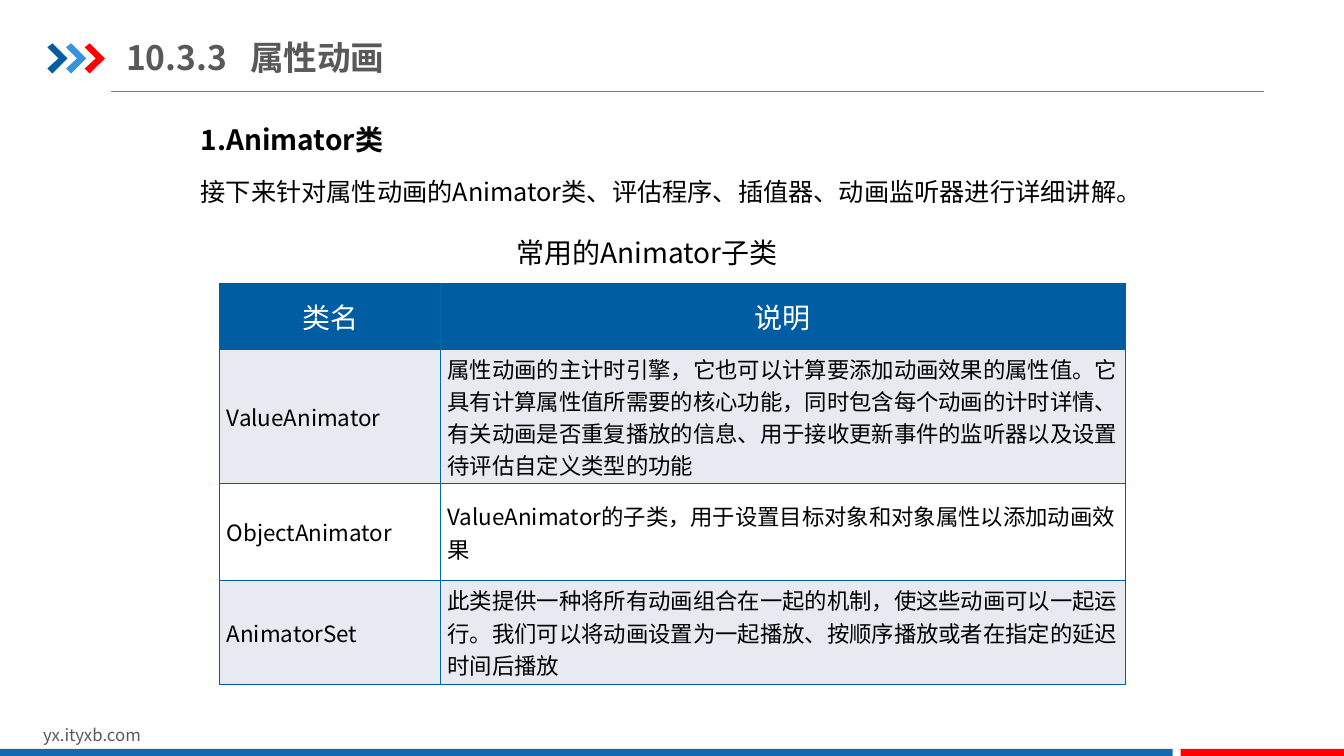
from dataclasses import dataclass
from lxml.etree import SubElement
from pptx import Presentation
from pptx.dml.color import RGBColor
from pptx.enum.shapes import MSO_CONNECTOR as Link, MSO_SHAPE as Kind
from pptx.enum.text import MSO_ANCHOR as Anchor, MSO_AUTO_SIZE as Auto, PP_ALIGN as Align
from pptx.oxml.ns import qn
from pptx.util import Inches, Pt

TITLE = "10.3.3\t属性动画"
INTRO = [
    ("1.Animator类", 20, True),
    ("接下来针对属性动画的Animator类、评估程序、插值器、动画监听器进行详细讲解。", 18, False),
]
CAPTION = [("常用的Animator子类", 20, False)]
SITE = "yx.ityxb.com"
ROWS = [
    ("类名", "说明"),
    ("ValueAnimator", "属性动画的主计时引擎，它也可以计算要添加动画效果的属性值。它具有计算属性值所需要的核心功能，"
     "同时包含每个动画的计时详情、有关动画是否重复播放的信息、用于接收更新事件的监听器以及设置待评估自定义类型的功能"),
    ("ObjectAnimator", "ValueAnimator的子类，用于设置目标对象和对象属性以添加动画效果"),
    ("AnimatorSet", "此类提供一种将所有动画组合在一起的机制，使这些动画可以一起运行。"
     "我们可以将动画设置为一起播放、按顺序播放或者在指定的延迟时间后播放"),
]
COLS = (2.19, 6.79)
HIGHS = (0.66, 1.33, 0.96, 1.03)
WIDE, HIGH = 13.33, 7.5
CHEVRON = [(0, 4), (5, 0), (20, 15), (5, 30), (0, 25), (11, 15)]


@dataclass(frozen=True)
class Theme:
    font: str = "Noto Sans CJK SC"
    navy: str = "005DA2"
    edge: str = "006BA9"
    sky: str = "3992DB"
    red: str = "FF0000"
    bar: str = "1369B2"
    gray: str = "595959"
    rule: str = "808080"
    black: str = "000000"
    white: str = "FFFFFF"
    band: str = "E7EAF0"
    title: int = 24
    head: int = 20
    cell: int = 16
    foot: int = 12


T = Theme()


def rgb(code):
    return RGBColor.from_string(code)


def box(*sides):
    return [Inches(side) for side in sides]


def write(par, text, size, color, bold=False):
    run = par.add_run()
    run.text = text
    look = {"name": T.font, "size": Pt(size), "bold": bold}
    for key, value in look.items():
        setattr(run.font, key, value)
    run.font.color.rgb = rgb(color)
    SubElement(run.font._element, qn("a:ea"), typeface=T.font)


def place(shape, *sides):
    for key, value in zip(("left", "top", "width", "height"), box(*sides)):
        setattr(shape, key, value)


def inset(part, across, down):
    for side in ("left", "right"):
        setattr(part, "margin_" + side, Inches(across))
    for side in ("top", "bottom"):
        setattr(part, "margin_" + side, Inches(down))


def fill_lines(frame, lines):
    """Write indented lines without bullets, spaced at one and a half."""
    frame.word_wrap = True
    frame.auto_size = Auto.NONE
    frame.vertical_anchor = Anchor.TOP
    for i, (text, size, bold) in enumerate(lines):
        par = frame.add_paragraph() if i else frame.paragraphs[0]
        par.line_spacing = 1.5
        par.space_before = Pt(size * 0.2 if i else 0)
        props = par._p.get_or_add_pPr()
        props.set("marL", str(Inches(0.5)))
        props.set("indent", "0")
        SubElement(props, qn("a:buNone"))
        write(par, text, size, T.black, bold)


def paint(shape, color):
    shape.shadow.inherit = False
    shape.fill.solid()
    shape.fill.fore_color.rgb = rgb(color)
    shape.line.fill.background()


def border(cell, col):
    """Draw the four cell edges; the inner upright has its own blue."""
    props = cell._tc.get_or_add_tcPr()
    inner = "lnL" if col else "lnR"
    for i, side in enumerate(("lnL", "lnR", "lnT", "lnB")):
        line = props.makeelement(qn("a:" + side), {"w": str(Pt(1))})
        fill = SubElement(line, qn("a:solidFill"))
        SubElement(fill, qn("a:srgbClr"), val=T.edge if side == inner else T.navy)
        props.insert(i, line)


def add_frame(slide):
    """Add the rule, chevrons and footer around the content."""
    rule = slide.shapes.add_connector(Link.STRAIGHT, *box(1.1, 0.91, 12.54, 0.91))
    rule.line.color.rgb = rgb(T.rule)
    rule.line.width = Pt(0.75)
    SubElement(rule._element.spPr, qn("a:effectLst"))

    for i, color in enumerate((T.navy, T.sky, T.red)):
        path = slide.shapes.build_freeform(*CHEVRON[0], scale=Inches(0.01))
        path.add_line_segments(CHEVRON[1:], close=True)
        mark = path.convert_to_shape()
        place(mark, 0.47 + 0.185 * i, 0.43, 0.2, 0.3)
        paint(mark, color)

    site = slide.shapes.add_textbox(*box(0.33, 7.14, 3.18, 0.3)).text_frame
    site.word_wrap = True
    write(site.paragraphs[0], SITE, T.foot, T.gray)
    for left, wide, color in ((0, 11.63, T.bar), (11.71, WIDE - 11.71, T.red)):
        strip = slide.shapes.add_shape(Kind.RECTANGLE, *box(left, 7.43, wide, HIGH - 7.43))
        paint(strip, color)


def add_title(slide):
    title = slide.shapes.title
    place(title, 1.25, 0.29, 4.26, 0.55)
    frame = title.text_frame
    inset(frame, 0, 0.07)
    frame.auto_size = Auto.NONE
    frame.vertical_anchor = Anchor.MIDDLE
    par = frame.paragraphs[0]
    par.alignment = Align.LEFT
    tabs = SubElement(par._p.get_or_add_pPr(), qn("a:tabLst"))
    SubElement(tabs, qn("a:tab"), pos=str(Inches(1.23)), algn="l")
    write(par, TITLE, T.title, T.gray, True)


def add_grid(slide):
    place_at = box(2.18, 2.81, sum(COLS), sum(HIGHS))
    table = slide.shapes.add_table(len(ROWS), len(COLS), *place_at).table
    table.first_row = table.horz_banding = False
    for col, wide in zip(table.columns, COLS):
        col.width = Inches(wide)
    for r, texts in enumerate(ROWS):
        table.rows[r].height = Inches(HIGHS[r])
        for c, text in enumerate(texts):
            cell = table.cell(r, c)
            cell.vertical_anchor = Anchor.MIDDLE
            inset(cell, *((0.07, 0) if r else (0.1, 0.05)))
            cell.fill.solid()
            back = (T.band if r % 2 else T.white) if r else T.navy
            cell.fill.fore_color.rgb = rgb(back)
            border(cell, c)
            par = cell.text_frame.paragraphs[0]
            par.alignment = Align.LEFT if r else Align.CENTER
            write(par, text, T.cell if r else T.head, T.black if r else T.white)


def main():
    deck = Presentation()
    deck.slide_width, deck.slide_height = box(WIDE, HIGH)
    slide = deck.slides.add_slide(deck.slide_layouts[1])
    add_frame(slide)
    add_title(slide)
    intro = slide.placeholders[1]
    place(intro, 1.39, 1, 11.12, 0.7)
    fill_lines(intro.text_frame, INTRO)
    caption = slide.shapes.add_textbox(*box(4.52, 2.12, 4.1, 0.68))
    fill_lines(caption.text_frame, CAPTION)
    add_grid(slide)
    deck.save("out.pptx")


if __name__ == "__main__":
    main()
